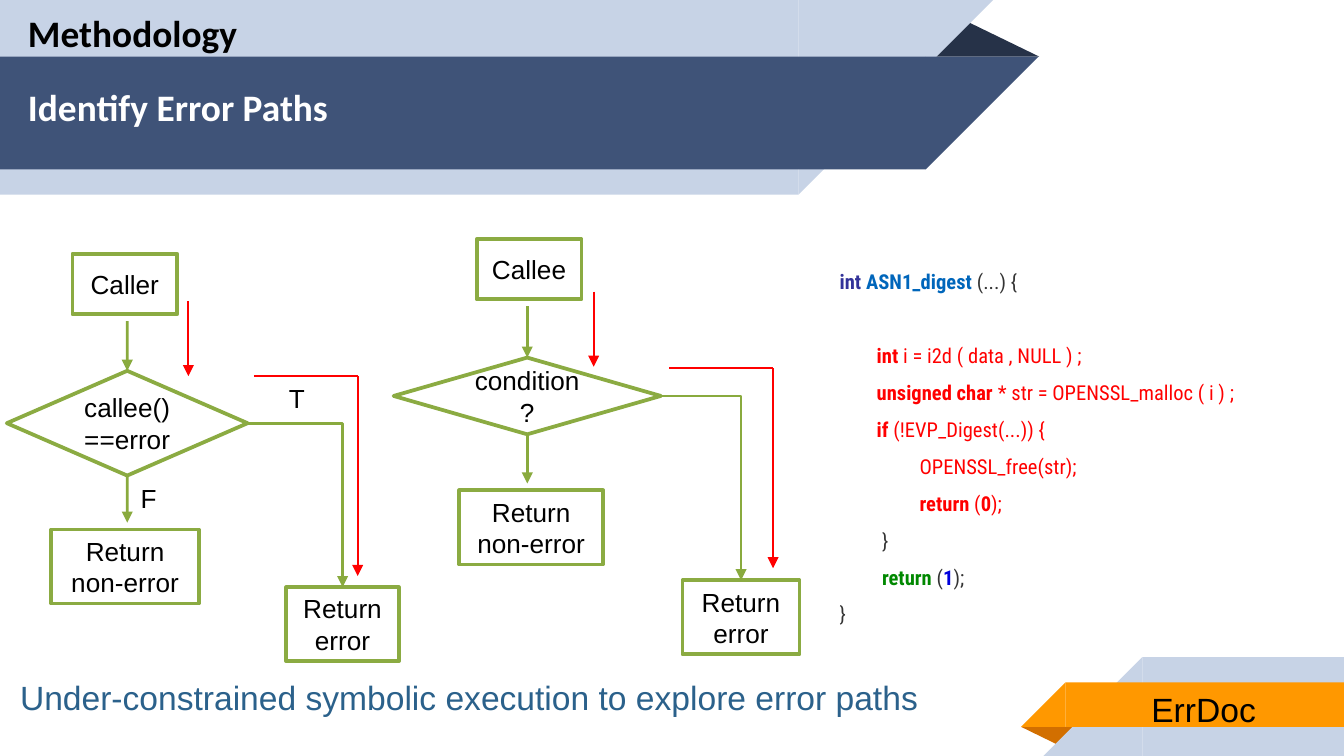
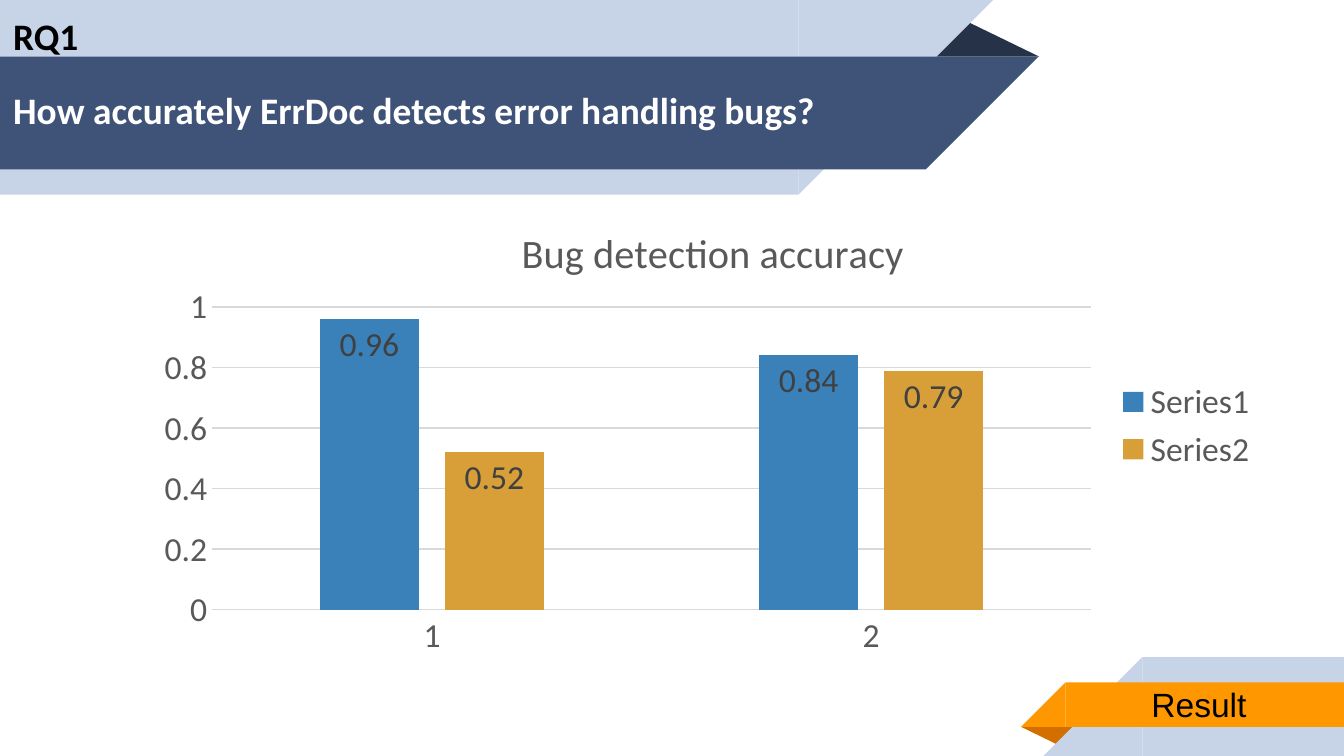
from lxml import etree
from pptx import Presentation
from pptx.chart.data import CategoryChartData
from pptx.dml.color import RGBColor
from pptx.enum.chart import XL_CHART_TYPE as ChartType
from pptx.enum.chart import XL_LABEL_POSITION as LabelPos
from pptx.enum.chart import XL_LEGEND_POSITION as LegendPos
from pptx.enum.chart import XL_TICK_MARK as TickMark
from pptx.enum.shapes import MSO_CONNECTOR as Connector
from pptx.enum.shapes import MSO_SHAPE as Shape
from pptx.enum.text import MSO_ANCHOR as Anchor
from pptx.enum.text import MSO_AUTO_SIZE as AutoSize
from pptx.enum.text import PP_ALIGN as Align
from pptx.oxml.ns import qn
from pptx.util import Cm, Pt

# Shared look
WIDTH, HEIGHT = 25.4, 14.29
WHITE, BLACK, GREY = "FFFFFF", "000000", "595959"
PALE, NAVY, NAVY_FOLD = "C7D3E6", "3F5378", "263248"
ORANGE, ORANGE_FOLD = "FF9800", "D26F00"
NODE_LINE, FLOW_LINE, RED = "8BAB42", "89AA3E", "FF0000"
BODY, HEADING, CODE = "Arial", "Calibri", "Roboto Condensed"
TOP, BOTTOM, RIGHT = 0, 2, 3
INSET = 0.25


def rgb(value):
    return RGBColor.from_string(value)


def style_font(font, size, name, color, bold=False):
    font.size, font.name, font.bold = Pt(size), name, bold
    font.color.rgb = rgb(color)


def add_run(paragraph, text, size, name, color, bold=False):
    run = paragraph.add_run()
    run.text = text
    style_font(run.font, size, name, color, bold)


def add_box(slide, kind, box, fill, line=None):
    shape = slide.shapes.add_shape(kind, *map(Cm, box))
    shape.shadow.inherit = False
    shape.fill.solid()
    shape.fill.fore_color.rgb = rgb(fill)
    if line:
        shape.line.color.rgb = rgb(line)
        shape.line.width = Pt(2)
    else:
        shape.line.fill.background()
    return shape


def add_label(slide, box, text, size, name, color, bold=False, wrap=True, inset=None):
    label = slide.shapes.add_textbox(*map(Cm, box))
    frame = label.text_frame
    frame.word_wrap = wrap
    if not wrap:
        frame.auto_size = AutoSize.SHAPE_TO_FIT_TEXT
    if inset:
        frame.margin_top = frame.margin_bottom = Cm(inset)
    add_run(frame.paragraphs[0], text, size, name, color, bold)


def add_line(slide, start, end, color, width, arrow=True, kind=Connector.STRAIGHT):
    line = slide.shapes.add_connector(kind, *map(Cm, (*start, *end)))
    line.line.color.rgb = rgb(color)
    line.line.width = Pt(width)
    props = line._element.spPr
    if arrow:
        etree.SubElement(props.find(qn("a:ln")), qn("a:tailEnd"), type="triangle")
    etree.SubElement(props, qn("a:effectLst"))
    return line


def flip(shape, turn=0):
    shape._element.spPr.xfrm.set("flipH", "1")
    shape.rotation = turn


def add_fold(slide, box, color, turn=0):
    fold = add_box(slide, Shape.ISOSCELES_TRIANGLE, box, color)
    fold.adjustments[0] = 0.324
    fold.rotation = turn


# Title ribbon in the top left corner
def draw_header(slide, kicker, title, kicker_at, title_at):
    add_fold(slide, (17.48, 0.36, 2.16, 0.71), NAVY_FOLD)
    for top, width, height, color in ((0, 15.09, 3.68, PALE), (1.07, 17.5, 2.13, NAVY)):
        flip(add_box(slide, Shape.RECTANGLE, (0, top, width, height), color), 180)
        slant = (width, top, height, height)
        flip(add_box(slide, Shape.RIGHT_TRIANGLE, slant, color), 180)
    for text, place, color in ((title, title_at, WHITE), (kicker, kicker_at, BLACK)):
        add_label(slide, (*place, 17.6, 2.13), text, 20, HEADING, color, True, inset=INSET)


# Section ribbon in the bottom right corner
def draw_footer(slide, section, section_top):
    add_fold(slide, (19.3, 13.74, 1.09, 0.36), ORANGE_FOLD, 180)
    for left, top, height, color in ((21.59, 12.42, 1.87, PALE), (20.14, 12.9, 0.84, ORANGE)):
        flip(add_box(slide, Shape.RECTANGLE, (left, top, WIDTH - left, height), color))
        slant = (left - height, top, height, height)
        flip(add_box(slide, Shape.RIGHT_TRIANGLE, slant, color))
    add_label(slide, (21.51, section_top, 2.5, 1.02), section, 18, BODY, BLACK, wrap=False)


# Flowchart of one function, with its error path traced in red
def draw_flow(slide, left, top, nodes, trace_start, trace_turn):
    def node(kind, text, x, y, width, height):
        box = (left + x, top + y, width, height)
        shape = add_box(slide, kind, box, WHITE, NODE_LINE)
        frame = shape.text_frame
        frame.word_wrap = True
        frame.vertical_anchor = Anchor.MIDDLE
        frame.paragraphs[0].alignment = Align.CENTER
        add_run(frame.paragraphs[0], text, 14, BODY, BLACK)
        return shape

    entry, check, success, failure = nodes
    node(Shape.RECTANGLE, *entry)
    success_box = node(Shape.RECTANGLE, "Return non-error", *success)
    failure_box = node(Shape.RECTANGLE, "Return error", *failure)
    check_box = node(Shape.DIAMOND, *check)

    # Steps into and out of the check
    gap = 0.13
    _, check_x, check_y, check_width, check_height = check
    axis = left + check_x + check_width / 2
    check_top = top + check_y
    check_bottom = check_top + check_height
    entry_bottom = top + entry[2] + entry[4]
    into = add_line(slide, (axis, entry_bottom + gap), (axis, check_top), FLOW_LINE, 1.5)
    into.end_connect(check_box, TOP)
    out_end = success_box.top.cm - gap
    out = add_line(slide, (axis, check_bottom), (axis, out_end), FLOW_LINE, 1.5)
    out.begin_connect(check_box, BOTTOM)
    branch = add_line(slide, (left, top), (left + 1, top + 1), FLOW_LINE, 1.5, kind=Connector.ELBOW)
    branch.begin_connect(check_box, RIGHT)
    branch.end_connect(failure_box, TOP)
    branch._element.spPr.find(qn("a:prstGeom")).set("prst", "bentConnector2")

    # Error path
    start_x, start_y = left + trace_start[0], top + trace_start[1]
    turn_x, turn_y = left + trace_turn[0], top + trace_turn[1]
    corner = (turn_x + 1.96, turn_y)
    add_line(slide, (start_x, start_y), (start_x, start_y + 1.42), RED, 1)
    add_line(slide, (turn_x, turn_y), corner, RED, 1, arrow=False)
    add_line(slide, corner, (corner[0], turn_y + 3.78), RED, 1)


# Code listing: one paragraph a line, as (indent, runs of text, colour, bold)
LISTING = [
    (0, [("int ", "333399", True), ("ASN1_digest", "0066BB", True), (" (...) {", "333333", False)]),
    (0.7, [("int", RED, True), (" i = i2d ( data , NULL ) ;", RED, False)]),
    (0.7, [("unsigned char", RED, True), (" * str = OPENSSL_malloc ( i ) ;", RED, False)]),
    (0.7, [("if", RED, True), (" (!EVP_Digest(...)) {", RED, False)]),
    (1.51, [("OPENSSL_free(str);", RED, False)]),
    (1.51, [("return", RED, True), (" (", RED, False), ("0", RED, True), (");", RED, False)]),
    (0.8, [("}", "333333", False)]),
    (0.8, [("return", "008800", True), (" (", "333333", False), ("1", "0000DD", True),
           (");", "333333", False)]),
    (0, [("}", "333333", False)]),
]


def draw_code(slide, box):
    code = slide.shapes.add_textbox(*map(Cm, box))
    code.fill.solid()
    code.fill.fore_color.rgb = rgb(WHITE)
    frame = code.text_frame
    frame.word_wrap = True
    frame.margin_top = frame.margin_bottom = Cm(INSET)
    for number, (indent, parts) in enumerate(LISTING):
        row = frame.add_paragraph() if number else frame.paragraphs[0]
        row.line_spacing = 1.5
        row._p.get_or_add_pPr().set("marL", str(Cm(indent)))
        for text, color, bold in parts:
            add_run(row, text, 11, CODE, color, bold)
    frame.paragraphs[0].space_after = Pt(19.7)


def place_part(part, index, **fractions):
    layout = part.find(qn("c:layout"))
    if layout is None:
        layout = etree.Element(qn("c:layout"))
        part.insert(index, layout)
    manual = etree.SubElement(layout, qn("c:manualLayout"))
    if "w" in fractions:
        etree.SubElement(manual, qn("c:layoutTarget"), val="inner")
    for axis in "xy":
        etree.SubElement(manual, qn(f"c:{axis}Mode"), val="edge")
    for key, value in fractions.items():
        etree.SubElement(manual, qn(f"c:{key}"), val=str(value))


# Column chart of detection accuracy
def draw_accuracy(slide, box):
    data = CategoryChartData()
    data.categories = ["1", "2"]
    data.add_series("Series1", (0.96, 0.84))
    data.add_series("Series2", (0.52, 0.79))
    chart = slide.shapes.add_chart(ChartType.COLUMN_CLUSTERED, *map(Cm, box), data).chart
    style_font(chart.font, 18, HEADING, BLACK)

    title = chart.chart_title
    add_run(title.text_frame.paragraphs[0], "Bug detection accuracy", 21.6, HEADING, GREY)
    place_part(title._element, 1, x=0.33, y=0.065)
    plot_area = chart._chartSpace.chart.plotArea
    place_part(plot_area, 0, x=0.063, y=0.253, w=0.777, h=0.631)

    chart.has_legend = True
    chart.legend.position = LegendPos.RIGHT
    chart.legend.include_in_layout = False
    style_font(chart.legend.font, 18, HEADING, GREY)

    for axis in (chart.category_axis, chart.value_axis):
        axis.major_tick_mark = axis.minor_tick_mark = TickMark.NONE
        style_font(axis.tick_labels.font, 18, HEADING, GREY)
    scale = chart.value_axis
    scale.minimum_scale, scale.maximum_scale, scale.major_unit = 0, 1, 0.2
    scale.format.line.fill.background()
    for rule in (chart.category_axis.format.line, scale.major_gridlines.format.line):
        rule.color.rgb = rgb("D9D9D9")
        rule.width = Pt(0.75)

    plot = chart.plots[0]
    plot.vary_by_categories = False
    plot.gap_width, plot.overlap = 219, -27
    for series, color in zip(plot.series, ("3A81BA", "D89F39")):
        series.format.fill.solid()
        series.format.fill.fore_color.rgb = rgb(color)
        labels = series.data_labels
        labels.show_value = True
        labels.position = LabelPos.INSIDE_END
        style_font(labels.font, 18, HEADING, "404040")


def build_methodology(slide):
    draw_header(slide, "Methodology", "Identify Error Paths", (0.28, -0.05), (0.28, 1.35))
    draw_footer(slide, "ErrDoc", 12.9)
    draw_code(slide, (15.62, 4.6, 9.4, 7.42))
    caller = (("Caller", 1.24, 0, 1.98, 1.14), ("callee()==error", 0, 2.21, 4.55, 1.98),
              (0.84, 5.21, 2.79, 1.4), (5.28, 6.3, 2.13, 1.4))
    callee = (("Callee", 1.57, 0, 1.98, 1.14), ("condition?", 0, 2.24, 5.05, 1.45),
              (1.24, 4.75, 2.72, 1.4), (5.46, 6.45, 2.21, 1.4))
    draw_flow(slide, 0.13, 4.8, caller, (3.43, 0.89), (4.67, 2.31))
    draw_flow(slide, 7.44, 4.52, callee, (3.78, 0.99), (5.21, 2.44))
    for answer, x, y in (("T", 5.21, 7.11), ("F", 2.41, 8.99)):
        add_label(slide, (x, y, 0.58, 0.97), answer, 14, BODY, BLACK, wrap=False)
    add_label(slide, (0.13, 12.67, 17.73, 1.02),
              "Under-constrained symbolic execution to explore error paths", 18, BODY, "2B618B")


def build_accuracy(slide):
    draw_header(slide, "RQ1", "How accurately ErrDoc detects error handling bugs?", (0, 0), (0, 1.4))
    draw_footer(slide, "Result", 12.8)
    draw_accuracy(slide, (2.67, 3.51, 21.36, 9.07))


def main():
    deck = Presentation()
    deck.slide_width, deck.slide_height = Cm(WIDTH), Cm(HEIGHT)
    for build in (build_methodology, build_accuracy):
        build(deck.slides.add_slide(deck.slide_layouts[6]))
    deck.save("out.pptx")


if __name__ == "__main__":
    main()
